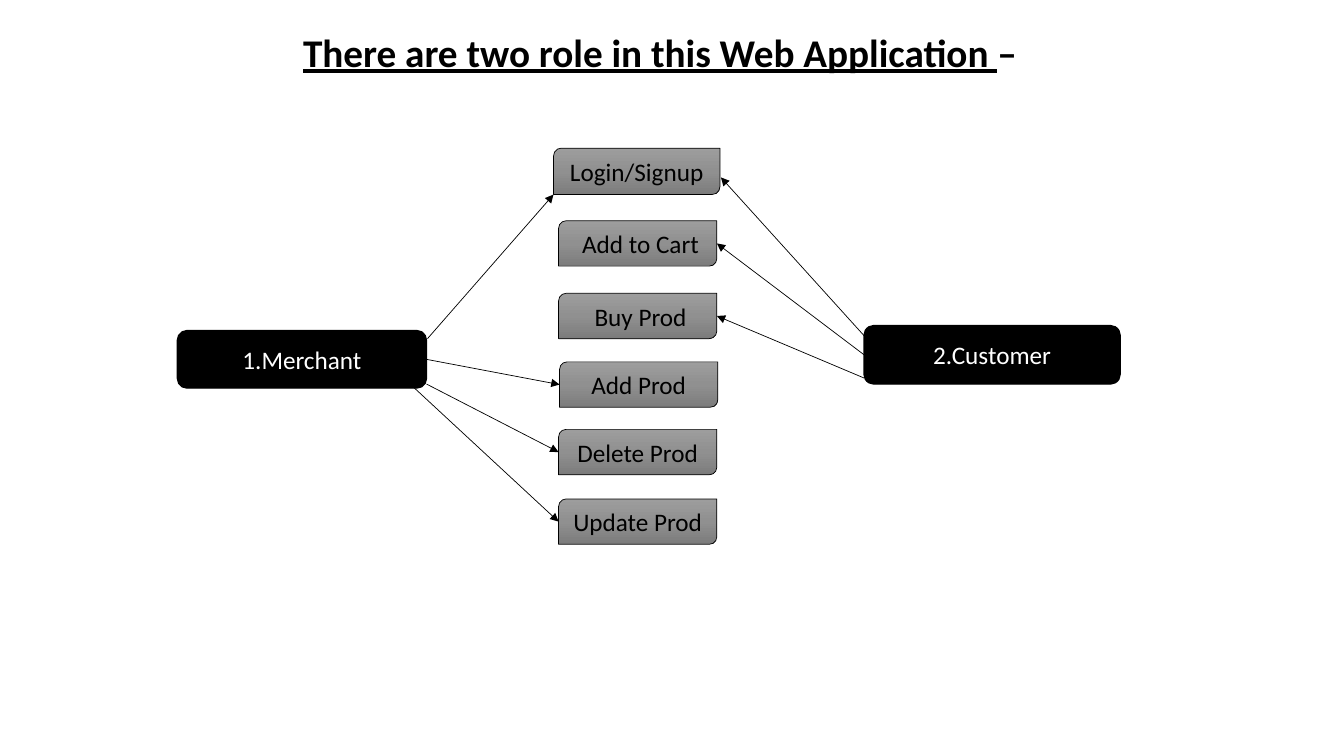
from copy import deepcopy

from lxml.etree import Element, SubElement
from pptx import Presentation
from pptx.dml.color import RGBColor
from pptx.enum.shapes import MSO_CONNECTOR as Connector, MSO_SHAPE as Shape
from pptx.enum.text import MSO_ANCHOR as Anchor, PP_ALIGN as Align
from pptx.oxml.ns import qn
from pptx.util import Inches, Pt

COLOURS = {"black": "000000", "white": "FFFFFF",
           "top": "9D9D9D", "middle": "909090", "bottom": "7C7C7C"}
LEFT, RIGHT = 1, 3
DIAGONAL_SITES = {LEFT: 2, RIGHT: 0}

ACTIONS = {
    "Login/Signup": (5.49, 1.47, 1.65, 0.46),
    " Add to Cart": (5.54, 2.19, 1.57, 0.45),
    " Buy Prod": (5.54, 2.91, 1.57, 0.45),
    "Add Prod": (5.55, 3.59, 1.57, 0.45),
    "Delete Prod": (5.54, 4.26, 1.57, 0.45),
    "Update Prod": (5.54, 4.95, 1.57, 0.45),
}


def colour(name):
    """Return the named colour."""
    return RGBColor.from_string(COLOURS[name])


def write_text(paragraph, text, size=18, font="Calibri", fill="black",
               bold=False, underline=False, outline=None):
    """Add a formatted run to a centred paragraph."""
    paragraph.alignment = Align.CENTER
    run = paragraph.add_run()
    run.text = text
    run.font.size = Pt(size)
    run.font.name = font
    run.font.bold = bold
    run.font.underline = underline
    run.font.color.rgb = colour(fill)
    if outline:
        line = Element(qn("a:ln"), w=str(Pt(0.75)))
        solid = SubElement(line, qn("a:solidFill"))
        SubElement(solid, qn("a:srgbClr"), val=COLOURS[outline])
        run._r.get_or_add_rPr().insert(0, line)


class RoleDiagram:
    """Draws roles, actions and arrows on one slide."""

    def __init__(self, slide):
        self.slide = slide

    def heading(self, parts, box):
        """Write the heading into the body placeholder."""
        title, body = self.slide.placeholders
        title._element.getparent().remove(title._element)
        body.left, body.top, body.width, body.height = map(Inches, box)
        paragraph = body.text_frame.paragraphs[0]
        paragraph.line_spacing = 0.9
        paragraph.space_before = Pt(10)
        properties = paragraph._p.get_or_add_pPr()
        properties.set("marL", "0")
        properties.set("indent", "0")
        SubElement(properties, qn("a:buNone"))
        for text, underline in parts:
            write_text(paragraph, text, size=28, bold=True,
                       underline=underline, outline="white")

    def box(self, kind, text, box, line_width, text_colour):
        """Add an outlined shape with centred text."""
        shape = self.slide.shapes.add_shape(kind, *map(Inches, box))
        shape.shadow.inherit = False
        shape.line.color.rgb = colour("black")
        shape.line.width = Pt(line_width)
        frame = shape.text_frame
        frame.word_wrap = True
        frame.vertical_anchor = Anchor.MIDDLE
        write_text(frame.paragraphs[0], text, fill=text_colour)
        return shape

    def role(self, text, box):
        """Add a black role box."""
        shape = self.box(Shape.ROUNDED_RECTANGLE, text, box, 1, "white")
        shape.fill.solid()
        shape.fill.fore_color.rgb = colour("black")
        return shape

    def action(self, text, box):
        """Add a grey gradient action box."""
        shape = self.box(Shape.ROUND_2_DIAG_RECTANGLE, text, box, 0.5, "black")
        shape.fill.gradient()
        shape.fill.gradient_angle = 270
        stops = next(shape._element.spPr.iter(qn("a:gsLst")))
        stops.insert(1, deepcopy(stops[0]))
        names = ("top", "middle", "bottom")
        for index, (stop, name) in enumerate(zip(shape.fill.gradient_stops, names)):
            stop.position = index / 2
            stop.color.rgb = colour(name)
        return shape

    def arrow(self, start, end, role=None, action=None, side=LEFT):
        """Draw an arrow, joined to the role or action when given."""
        connector = self.slide.shapes.add_connector(
            Connector.STRAIGHT, *map(Inches, start + end))
        connector.line.color.rgb = colour("black")
        connector.line.width = Pt(0.5)
        if role:
            connector.begin_connect(role, LEFT + RIGHT - side)
        if action:
            connector.end_connect(action, side)
            joint = next(connector._element.iter(qn("a:endCxn")))
            joint.set("idx", str(DIAGONAL_SITES[side]))
        properties = connector._element.spPr
        SubElement(properties.find(qn("a:ln")), qn("a:tailEnd"), type="triangle")
        SubElement(properties, qn("a:effectLst"))


def main():
    """Build and save the slide."""
    presentation = Presentation()
    presentation.slide_width = Inches(13.33)
    presentation.slide_height = Inches(7.5)
    diagram = RoleDiagram(
        presentation.slides.add_slide(presentation.slide_layouts[1]))

    diagram.heading([("There are two role in this Web Application ", True),
                     ("–", False)], (0.67, 0.28, 11.75, 6.47))
    merchant = diagram.role("1.Merchant", (1.76, 3.28, 2.47, 0.57))
    customer = diagram.role("2.Customer", (8.57, 3.23, 2.54, 0.58))
    login, cart, buy, add, delete, update = [
        diagram.action(text, box) for text, box in ACTIONS.items()]

    diagram.arrow((4.24, 3.36), (5.49, 1.93))
    diagram.arrow((4.24, 3.56), (5.55, 3.81), role=merchant, action=add)
    diagram.arrow((4.23, 3.81), (5.54, 4.49), action=delete)
    diagram.arrow((4.1, 3.84), (5.54, 5.17), action=update)
    diagram.arrow((8.57, 3.33), (7.15, 1.76))
    diagram.arrow((8.57, 3.52), (7.11, 2.41), role=customer, action=cart, side=RIGHT)
    diagram.arrow((8.57, 3.75), (7.11, 3.14), action=buy, side=RIGHT)

    presentation.save("out.pptx")


if __name__ == "__main__":
    main()
